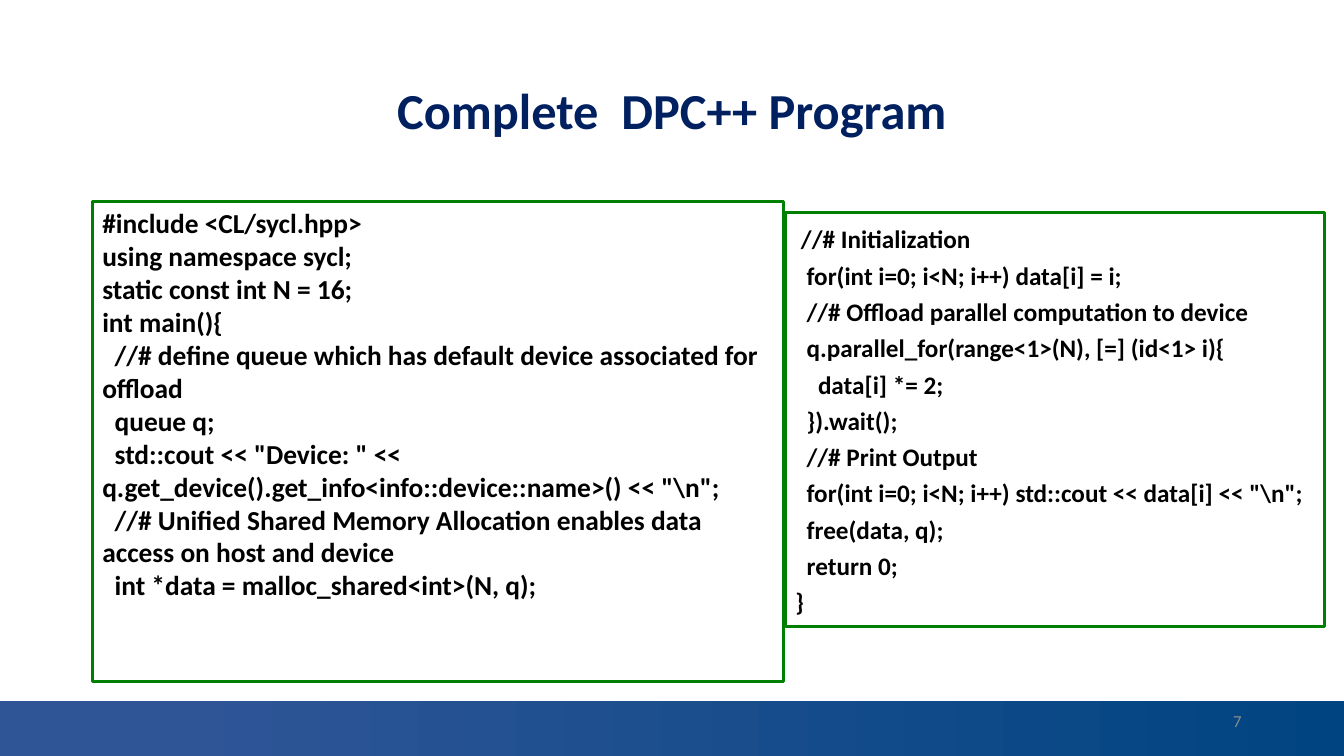
from pptx import Presentation
from pptx.dml.color import RGBColor
from pptx.enum.shapes import MSO_SHAPE
from pptx.enum.text import MSO_ANCHOR, PP_ALIGN
from pptx.util import Pt

TITLE = "Complete  DPC++ Program"
PAGE_NUMBER = "7"
SETUP_CODE = [
    "#include <CL/sycl.hpp>",
    "using namespace sycl;",
    "static const int N = 16;",
    "int main(){",
    "  //# define queue which has default device associated for offload",
    "  queue q;",
    '  std::cout << "Device: " << q.get_device().get_info<info::device::name>() << "\\n";',
    "  //# Unified Shared Memory Allocation enables data access on host and device",
    "  int *data = malloc_shared<int>(N, q);",
]
COMPUTE_CODE = [
    " //# Initialization",
    "  for(int i=0; i<N; i++) data[i] = i;",
    "  //# Offload parallel computation to device",
    "  q.parallel_for(range<1>(N), [=] (id<1> i){",
    "    data[i] *= 2;",
    "  }).wait();",
    "  //# Print Output",
    '  for(int i=0; i<N; i++) std::cout << data[i] << "\\n";',
    "  free(data, q);",
    "  return 0;",
    "}",
]
# lines, (left, top, width, height), font size, line spacing
CODE_BOXES = [
    (SETUP_CODE, (66, 144, 494, 342.5), 19.6, 1.0),
    (COMPUTE_CODE, (561, 152, 385, 295.5), 18, 1.2),
]
WIDTH, HEIGHT = 960, 540
FOOTER_TOP = 500.5
FOOTER_STOPS = [(0.13, "2F5597"), (1, "004481")]
GREEN, NAVY, GRAY, BLACK = "008000", "002060", "8C8C8C", "000000"


def color(value):
    """Turn a hex string into a colour."""
    return RGBColor.from_string(value)


def add_rect(s, box):
    """Add a rectangle without shadow."""
    sp = s.shapes.add_shape(MSO_SHAPE.RECTANGLE, *map(Pt, box))
    sp.shadow.inherit = False
    return sp


def write(sp, lines, size, ink, bold=False, align=PP_ALIGN.LEFT,
          anchor=MSO_ANCHOR.MIDDLE, spacing=1.0):
    """Write one paragraph per line into a shape."""
    tf = sp.text_frame
    tf.word_wrap = True
    tf.vertical_anchor = anchor
    for i, line in enumerate(lines):
        p = tf.add_paragraph() if i else tf.paragraphs[0]
        p.alignment = align
        p.line_spacing = spacing
        r = p.add_run()
        r.text = line
        r.font.name = "Calibri"
        r.font.size = Pt(size)
        r.font.bold = bold
        r.font.color.rgb = color(ink)


prs = Presentation()
prs.slide_width, prs.slide_height = Pt(WIDTH), Pt(HEIGHT)
s = prs.slides.add_slide(prs.slide_layouts[6])

footer = add_rect(s, (0, FOOTER_TOP, WIDTH, HEIGHT - FOOTER_TOP))
footer.line.fill.background()
footer.fill.gradient()
footer.fill.gradient_angle = 0
for stop, (position, value) in zip(footer.fill.gradient_stops, FOOTER_STOPS):
    stop.position = position
    stop.color.rgb = color(value)

title = s.shapes.add_textbox(Pt(66), Pt(28.75), Pt(828), Pt(104.4))
write(title, [TITLE], 36, NAVY, bold=True, align=PP_ALIGN.CENTER, spacing=0.9)

number = s.shapes.add_textbox(Pt(678), Pt(FOOTER_TOP), Pt(216), Pt(28.75))
write(number, [PAGE_NUMBER], 12, GRAY, align=PP_ALIGN.RIGHT)

for lines, box, size, spacing in CODE_BOXES:
    sp = add_rect(s, box)
    sp.fill.background()
    sp.line.color.rgb = color(GREEN)
    sp.line.width = Pt(2.25)
    write(sp, lines, size, BLACK, bold=True, anchor=MSO_ANCHOR.TOP, spacing=spacing)

prs.save("out.pptx")
